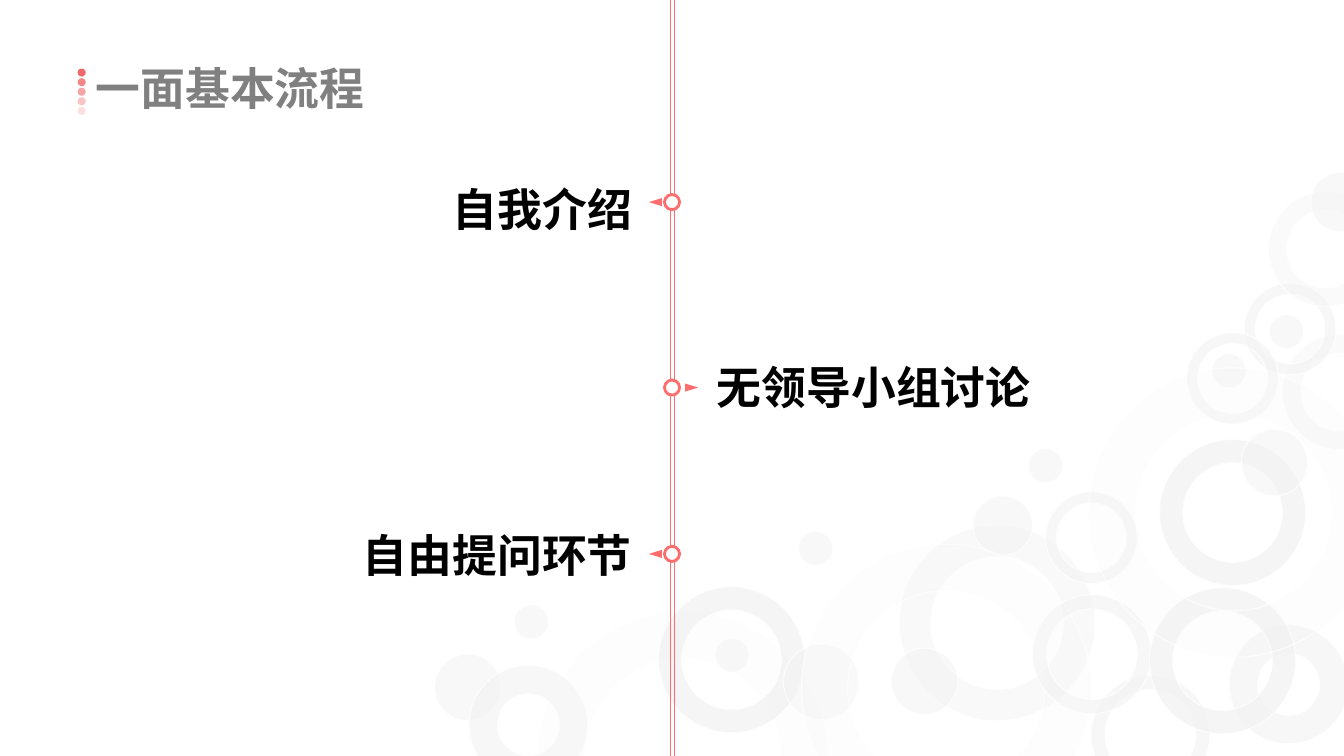
import pptx
import pptx.util
import pptx.dml.color
import pptx.enum.shapes
import pptx.enum.text
import pptx.oxml
import pptx.oxml.ns
from lxml import etree

RGB = pptx.dml.color.RGBColor
KIND = pptx.enum.shapes.MSO_SHAPE
WHITE = RGB(255, 255, 255)
PALE = RGB(0xF2, 0xF2, 0xF2)
ROSE = RGB(0xEF, 0x69, 0x6B)
CORAL = RGB(0xFF, 0x6D, 0x6D)
GREY = RGB(0x80, 0x80, 0x80)
BLACK = RGB(0, 0, 0)
PX = 9144  # EMU; 100 px to the inch
WIDE, HIGH = 1333, 750
RING = 15

# size, hole ratio (None for a solid disc), opacity
BUBBLES = {
    "bold": (145, 0.16, 75), "mid": (114, 0.16, 31),
    "huge": (287, 0.16, 13), "large": (194, 0.16, 42),
    "thin": (118, 0.12, 54), "thick": (118, 0.24, 54),
    "fine": (91, 0.12, 54), "disc": (66, None, 47),
    "spot": (59, None, 47), "dot": (34, None, 47),
    "ball": (75, None, 39),
}
PLACES = [
    ("bold", 1150, 436), ("mid", 1272, 332), ("huge", 534, 607),
    ("thin", 1082, 670), ("fine", 1234, 281), ("disc", 1231, 426),
    ("dot", 1202, 351), ("large", 892, 521), ("bold", 653, 582),
    ("ball", 777, 639), ("spot", 965, 492), ("huge", 795, 540),
    ("thin", 1024, 590), ("fine", 1037, 488), ("thick", 1219, 620),
    ("dot", 792, 527), ("disc", 431, 649), ("dot", 709, 633),
    ("dot", 1020, 445), ("bold", 1140, 583), ("mid", 1258, 190),
    ("spot", 1300, 171), ("huge", 1080, 365), ("fine", 1177, 330),
    ("thick", 465, 660), ("dot", 1259, 312), ("disc", 884, 643),
    ("dot", 510, 600),
]
# ring top, arrow side, text, text box
STEPS = [
    (193, -1, "自我介绍", (439, 175, 209, 64)),
    (377, 1, "无领导小组讨论", (701, 352, 348, 64)),
    (542, -1, "自由提问环节", (350, 519, 326, 64)),
]


def px(*nums):
    return [round(n * PX) for n in nums]


def fade(item, share, *tags):
    """Set the opacity, in percent, of the colour found under the tags."""
    route = "/".join(pptx.oxml.ns.qn(tag) for tag in (*tags, "a:solidFill", "a:srgbClr"))
    tint = item._element.spPr.find(route)
    etree.SubElement(tint, pptx.oxml.ns.qn("a:alpha"), val=str(share * 1000))


def shape(slide, kind, box, fill=None, line=None, wide=1, share=100):
    item = slide.shapes.add_shape(kind, *px(*box))
    item.shadow.inherit = False
    for part, tint in ((item.fill, fill), (item.line.fill, line)):
        if tint is None:
            part.background()
        else:
            part.solid()
            part.fore_color.rgb = tint
    if share < 100:
        fade(item, share)
    if line is not None:
        item.line.width = pptx.util.Pt(wide)
    return item


def label(slide, box, text, tint, wrap=True):
    item = slide.shapes.add_textbox(*px(*box))
    frame = item.text_frame
    frame.word_wrap = wrap
    frame.auto_size = pptx.enum.text.MSO_AUTO_SIZE.SHAPE_TO_FIT_TEXT
    run = frame.paragraphs[0].add_run()
    run.text = text
    style = {"name": "Calibri", "size": pptx.util.Pt(32), "bold": True}
    for key, val in style.items():
        setattr(run.font, key, val)
    run.font.color.rgb = tint


def backdrop(slide):
    for name, left, top in PLACES:
        size, hole, share = BUBBLES[name]
        kind = KIND.OVAL if hole is None else KIND.DONUT
        item = shape(slide, kind, (left, top, size, size), PALE, WHITE, 1, share)
        if hole is not None:
            item.adjustments[0] = hole
        fade(item, 70, "a:ln")


def heading(slide, left, top):
    label(slide, (left + 8, top, 289, 64), "一面基本流程", GREY, False)
    for row in range(5):
        shape(slide, KIND.OVAL, (left, top + 13 + row * 9.5, 8, 8),
              ROSE, share=100 - 20 * row)


def rail(slide, left, top, end):
    """Draw one stretch of the double line."""
    for x in (left, left + 4):
        line = slide.shapes.add_connector(
            pptx.enum.shapes.MSO_CONNECTOR.STRAIGHT, *px(x, top, x, end))
        line.line.color.rgb = CORAL
        line.line.width = pptx.util.Pt(0.75)
        etree.SubElement(line._element.spPr, pptx.oxml.ns.qn("a:effectLst"))


def timeline(slide, left):
    tops = [step[0] for step in STEPS]
    starts = [0] + [top + RING for top in tops]
    for start, end in zip(starts, tops + [HIGH]):
        rail(slide, left + 6, start, end)
    for top, side, text, box in STEPS:
        shape(slide, KIND.OVAL, (left, top, RING, RING), line=CORAL, wide=2)
        arrow = shape(slide, KIND.ISOSCELES_TRIANGLE,
                      (left + 5 + side * 18, top + 1, 8, 13), CORAL)
        arrow.rotation = side * 90 % 360
        label(slide, box, text, BLACK)


def main():
    deck = pptx.Presentation()
    deck.slide_width, deck.slide_height = px(WIDE, HIGH)
    slide = deck.slides.add_slide(deck.slide_layouts[6])
    backdrop(slide)
    heading(slide, 77, 55)
    timeline(slide, 659)
    deck.save("out.pptx")


if __name__ == "__main__":
    main()
